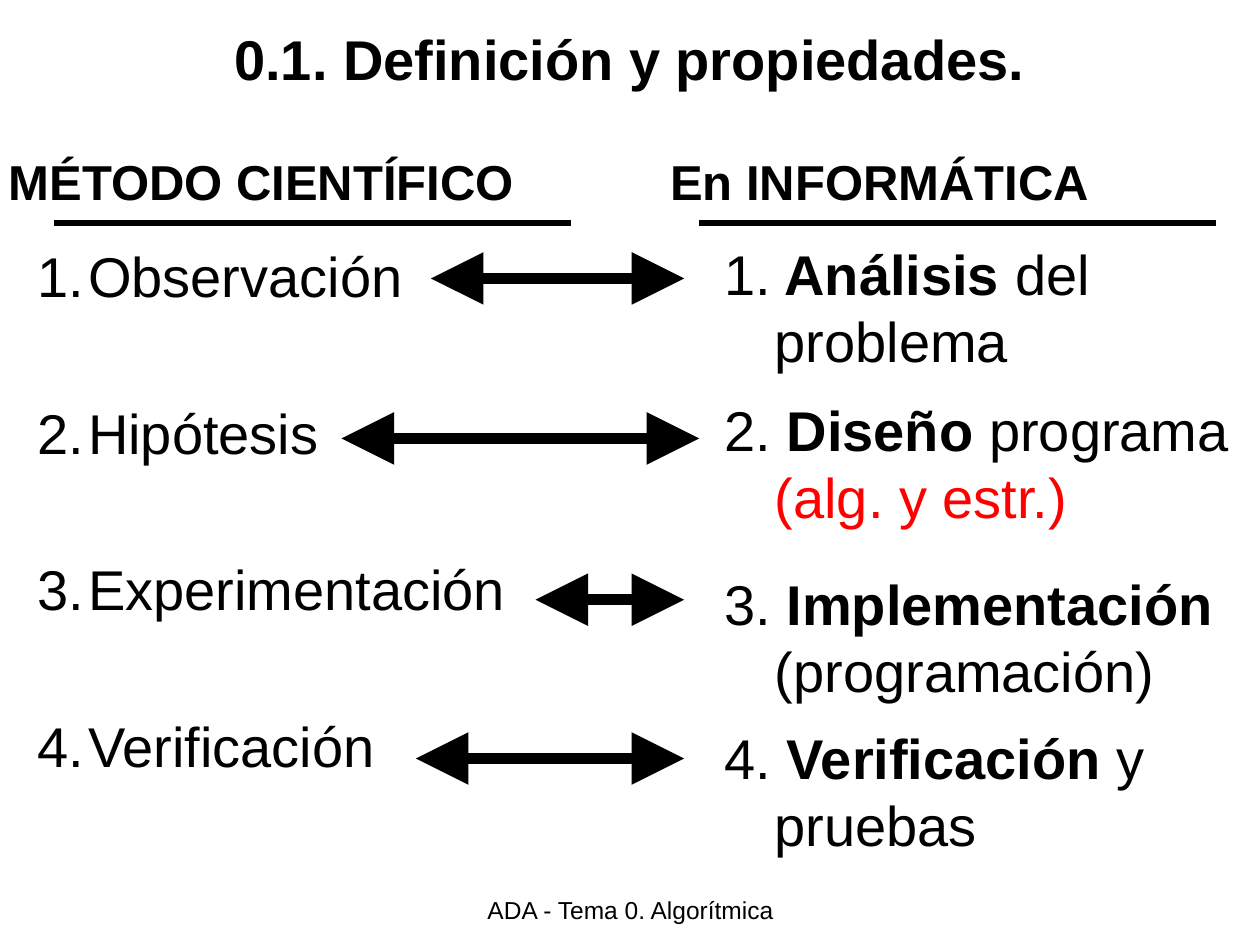
import pptx
import pptx.dml.color
import pptx.enum.shapes
import pptx.enum.text
import pptx.oxml.ns
import pptx.util
from dataclasses import dataclass
from lxml import etree

Inches = pptx.util.Inches
Pt = pptx.util.Pt
ALIGN = pptx.enum.text.PP_ALIGN
ANCHOR = pptx.enum.text.MSO_ANCHOR
qn = pptx.oxml.ns.qn


@dataclass(frozen=True)
class Theme:
    font: str = "Arial"
    ink: str = "000000"
    red: str = "FF0000"
    body: int = 32
    head: int = 28
    foot: int = 14
    lead: float = 1.2
    gap: int = 51
    rule: int = 3
    arrow: int = 6


THEME = Theme()

# Left step, arrow start, arrow end, arrow height
LEFT = [
    ("Observación", 3.42, 5.43, 2.21),
    ("Hipótesis", 2.71, 5.55, 3.48),
    ("Experimentación", 4.25, 5.43, 4.76),
    ("Verificación", 3.3, 5.43, 6.02),
]
# Top, width, then number, bold, plain and red text
RIGHT = [
    (1.85, 4, ("1.", " Análisis ", "del problema", "")),
    (3.09, 4.35, ("2. ", "Diseño", " programa ", "(alg. y estr.)")),
    (4.47, 4.1, ("3. ", "Implementación", " (programación)", "")),
    (5.69, 4.1, ("4. ", "Verificación", " y pruebas", "")),
]


def add_text(slide, box):
    shape = slide.shapes.add_textbox(*map(Inches, box))
    shape.text_frame.word_wrap = True
    return shape.text_frame


def style(run, size, bold=False, color=THEME.ink):
    font = run.font
    font.name, font.size, font.bold = THEME.font, Pt(size), bold
    font.color.rgb = pptx.dml.color.RGBColor.from_string(color)


def set_line(frame, text, size, bold=False, align=ALIGN.LEFT):
    par = frame.paragraphs[0]
    par.text = text
    par.alignment = align
    par.line_spacing = Pt(size * THEME.lead)
    style(par.runs[0], size, bold)


def hang(par):
    """Hang the number in the margin."""
    props = par._p.get_or_add_pPr()
    props.set("marL", str(Inches(0.4)))
    props.set("indent", str(-Inches(0.4)))
    par.line_spacing = Pt(THEME.body * THEME.lead)
    return props


def add_line(slide, start, end, width, heads=False):
    line = slide.shapes.add_connector(
        pptx.enum.shapes.MSO_CONNECTOR.STRAIGHT, *map(Inches, start + end))
    line.line.width = Pt(width)
    line.line.color.rgb = pptx.dml.color.RGBColor.from_string(THEME.ink)
    if heads:
        stroke = line.line._get_or_add_ln()
        for tag in ("a:headEnd", "a:tailEnd"):
            etree.SubElement(stroke, qn(tag), type="triangle", w="lg", len="lg")
    etree.SubElement(line._element.spPr, qn("a:effectLst"))


def add_head(slide, box, text, inset, rule):
    """Column heading with the rule below it."""
    frame = add_text(slide, box)
    frame.margin_left = Inches(inset)
    set_line(frame, text, THEME.head, True)
    left, top = box[:2]
    start, y = left + rule, top + 0.62
    add_line(slide, (start, y), (start + 4.1, y), THEME.rule)


def add_steps(slide, box):
    """Numbered steps of the method."""
    frame = add_text(slide, box)
    frame.text = "\n".join(row[0] for row in LEFT)
    for i, par in enumerate(frame.paragraphs):
        props = hang(par)
        par.space_before = Pt(THEME.gap if i else 0)
        etree.SubElement(props, qn("a:buFont"), typeface=THEME.font)
        etree.SubElement(props, qn("a:buAutoNum"), type="arabicPeriod")
        style(par.runs[0], THEME.body)


def add_task(slide, box, parts):
    """One matching task in computing."""
    par = add_text(slide, box).paragraphs[0]
    hang(par)
    looks = [(False, THEME.ink), (True, THEME.ink),
             (False, THEME.ink), (False, THEME.red)]
    for text, (bold, color) in zip(parts, looks):
        if text:
            run = par.add_run()
            run.text = text
            style(run, THEME.body, bold, color)


def main():
    deck = pptx.Presentation()
    deck.slide_width, deck.slide_height = Inches(10), Inches(7.5)
    slide = deck.slides.add_slide(deck.slide_layouts[6])

    # Title
    title = add_text(slide, (0.5, 0, 9, 0.93))
    title.vertical_anchor = ANCHOR.MIDDLE
    set_line(title, "0.1. Definición y propiedades.", THEME.body, True,
             ALIGN.CENTER)

    # Columns
    add_head(slide, (0, 1.15, 4.68, 0.95), "MÉTODO CIENTÍFICO", 0.07, 0.43)
    add_head(slide, (5.1, 1.15, 4.24, 1.03), "En INFORMÁTICA", 0.22, 0.45)
    add_steps(slide, (0.2, 1.87, 4.88, 5.2))
    for top, width, parts in RIGHT:
        add_task(slide, (5.65, top, width, 1.17), parts)

    # Links between the columns
    for _, start, end, y in LEFT:
        add_line(slide, (start, y), (end, y), THEME.arrow, True)

    # Footer
    foot = add_text(slide, (3.42, 7.05, 3.17, 0.31))
    set_line(foot, "ADA - Tema 0. Algorítmica", THEME.foot, False,
             ALIGN.CENTER)

    deck.save("out.pptx")


if __name__ == "__main__":
    main()
